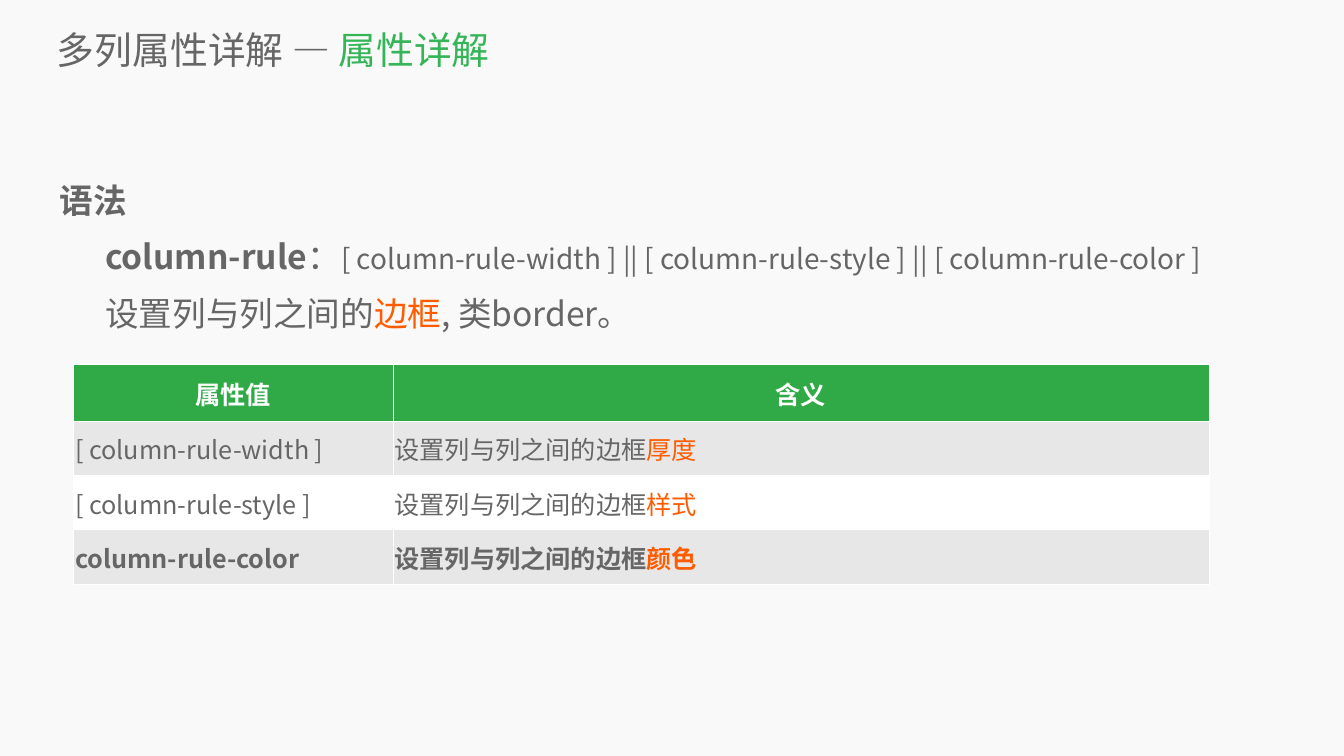
"""Build the slide that explains the column-rule property."""
from dataclasses import dataclass

from lxml import etree
from pptx import Presentation
from pptx import util as u
from pptx.dml.color import RGBColor
from pptx.enum import text
from pptx.oxml.ns import qn


@dataclass(frozen=True)
class Theme:
    """Colours, type sizes and font of the slide."""
    font: str = "Noto Sans CJK SC"
    back: str = "F9F9F9"
    ink: str = "666666"
    green: str = "35B558"
    head: str = "2FAA46"
    hot: str = "FF5C00"
    band: str = "E7E7E7"
    white: str = "FFFFFF"
    title: int = 54
    body: int = 48
    code: int = 40
    cell: int = 36


T = Theme()
WIDE, HIGH = u.Inches(26.67), u.Inches(15)


def fill(item, color):
    """Give an item a solid fill."""
    item.fill.solid()
    item.fill.fore_color.rgb = RGBColor.from_string(color)


def write(para, words, size=T.body, color=T.ink, bold=False):
    """Add a formatted run to a paragraph."""
    run = para.add_run()
    run.text = words
    font = run.font
    font.size, font.bold, font.name = u.Pt(size), bold, T.font
    font.color.rgb = RGBColor.from_string(color)
    east = etree.SubElement(run._r.get_or_add_rPr(), qn("a:ea"))
    east.set("typeface", T.font)


def place(shape, left, top, width, height):
    """Place a shape by shares of the slide and clear its margins."""
    shape.left, shape.top = int(left * WIDE), int(top * HIGH)
    shape.width, shape.height = int(width * WIDE), int(height * HIGH)
    frame = shape.text_frame
    frame.word_wrap, frame.auto_size = True, text.MSO_AUTO_SIZE.NONE
    frame.margin_left = frame.margin_right = 0
    frame.margin_top = frame.margin_bottom = 0
    return frame


def add_title(slide):
    """Fill the title placeholder."""
    frame = place(slide.shapes.title, 0.0424, 0.0313, 0.9434, 0.068)
    frame.vertical_anchor = text.MSO_ANCHOR.MIDDLE
    para = frame.paragraphs[0]
    para.alignment = text.PP_ALIGN.LEFT
    write(para, "多列属性详解 — ", size=T.title)
    write(para, "属性详解", size=T.title, color=T.green)


def add_body(slide):
    """Add the syntax text, indented below its heading."""
    box = slide.shapes.add_textbox(0, 0, WIDE, HIGH)
    frame = place(box, 0.0446, 0.2167, 0.9104, 0.7493)
    syntax = "[\u00a0column-rule-width\u00a0] || [\u00a0column-rule-style\u00a0] || [\u00a0column-rule-color\u00a0]"
    lines = [
        [("语法", dict(bold=True))],
        [("column-rule", dict(bold=True)), ("：", {}), (syntax, dict(size=T.code))],
        [("设置列与列之间的", {}), ("边框", dict(color=T.hot)), (", 类border。", {})],
    ]
    for num, runs in enumerate(lines):
        para = frame.paragraphs[0] if num == 0 else frame.add_paragraph()
        para.line_spacing = 1.4
        if num:
            para._p.get_or_add_pPr().set("marL", str(u.Inches(0.9)))
        for words, form in runs:
            write(para, words, **form)


def set_cell(cell, color):
    """Format a table cell and return its paragraph."""
    fill(cell, color)
    cell.vertical_anchor = text.MSO_ANCHOR.MIDDLE
    cell.margin_left, cell.margin_right = u.Inches(0.03), u.Inches(0.05)
    cell.margin_top, cell.margin_bottom = u.Inches(0.08), u.Inches(0.05)
    return cell.text_frame.paragraphs[0]


def add_grid(slide):
    """Add the table of property values."""
    rows = [
        ("[ column-rule-width ]", "厚度", False),
        ("[\u00a0column-rule-style\u00a0]", "样式", False),
        ("column-rule-color", "颜色", True),
    ]
    widths = [u.Inches(6.34), u.Inches(16.2)]
    heights = [u.Inches(1.12)] + [u.Inches(1.08)] * len(rows)
    grid = slide.shapes.add_table(
        len(heights), len(widths), u.Inches(1.46), u.Inches(7.23),
        sum(widths), sum(heights)).table
    for col, width in zip(grid.columns, widths):
        col.width = width
    for row, height in zip(grid.rows, heights):
        row.height = height
    for col, words in enumerate(("属性值", "含义")):
        para = set_cell(grid.cell(0, col), T.head)
        para.alignment = text.PP_ALIGN.CENTER
        write(para, words, size=T.cell, color=T.white, bold=True)
    for num, (name, part, bold) in enumerate(rows, 1):
        color = T.band if num % 2 else T.white
        form = dict(size=T.cell, bold=bold)
        write(set_cell(grid.cell(num, 0), color), name, **form)
        para = set_cell(grid.cell(num, 1), color)
        write(para, "设置列与列之间的边框", **form)
        write(para, part, color=T.hot, **form)


def main():
    """Build and save the slide."""
    deck = Presentation()
    deck.slide_width, deck.slide_height = WIDE, HIGH
    slide = deck.slides.add_slide(deck.slide_layouts[5])
    fill(slide.background, T.back)
    add_title(slide)
    add_body(slide)
    add_grid(slide)
    deck.save("out.pptx")


if __name__ == "__main__":
    main()
